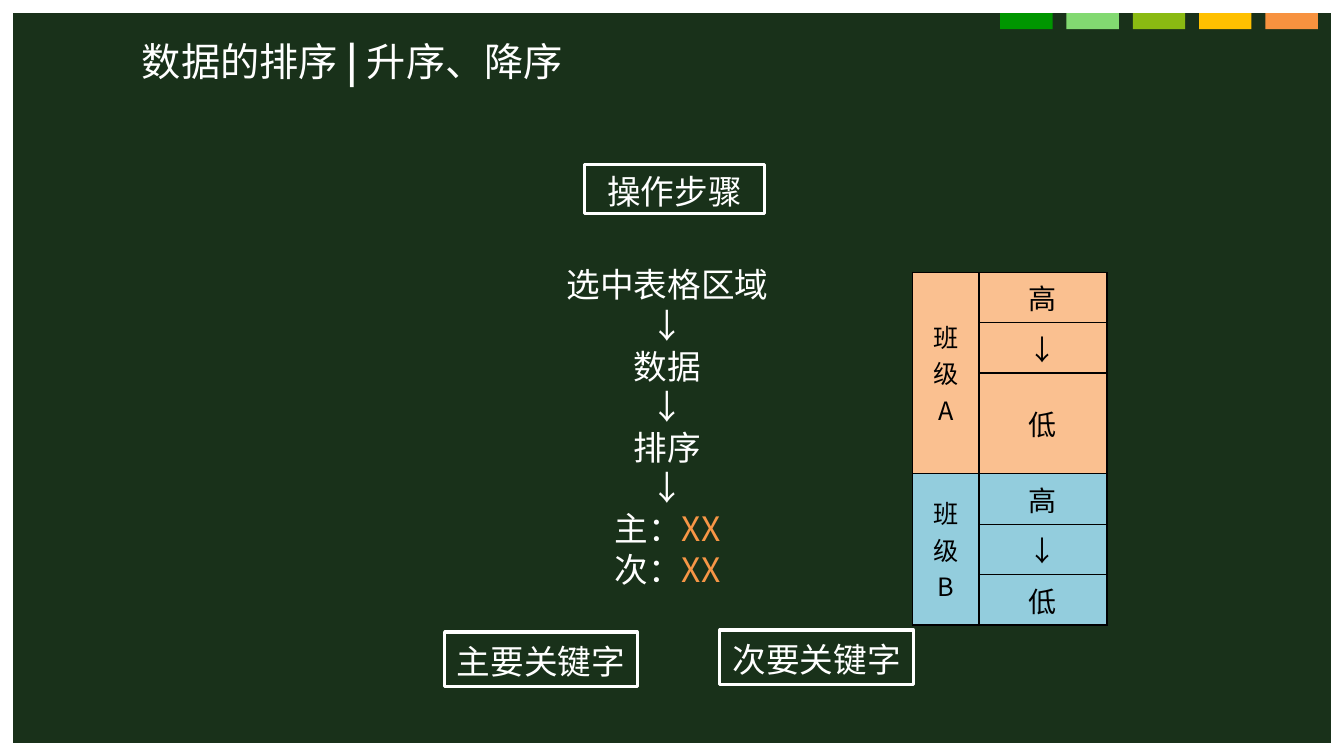
from lxml import etree
from pptx import Presentation
from pptx.dml.color import RGBColor
from pptx.enum.shapes import MSO_SHAPE as Shape
from pptx.enum.text import MSO_ANCHOR as Anchor, PP_ALIGN as Align
from pptx.oxml.ns import qn
from pptx.util import Inches, Pt

FONT = "Noto Sans CJK SC"
COLORS = {
    "board": "19311A", "white": "FFFFFF", "black": "000000", "keyword": "F79646",
    "green": "009600", "mint": "82D971", "olive": "8ABA12",
    "yellow": "FFC000", "orange": "F7923F",
    "class_a": "FAC090", "class_b": "93CDDD",
}


def rgb(name):
    return RGBColor.from_string(COLORS[name])


def write(frame, lines, size=24, color="white", align=Align.CENTER, tight=True):
    """Fill a frame; each line is a list of (text, run format) pairs."""
    for i, line in enumerate(lines):
        paragraph = frame.paragraphs[0] if i == 0 else frame.add_paragraph()
        paragraph.alignment = align
        if tight:
            paragraph.line_spacing = Pt(round(size * 1.21))
        for text, style in line:
            run = paragraph.add_run()
            run.text = text
            run.font.size = Pt(size)
            run.font.bold = style.get("bold", False)
            run.font.color.rgb = rgb(style.get("color", color))
            run.font.name = FONT
            etree.SubElement(run.font._element, qn("a:ea"), typeface=FONT)


prs = Presentation()
prs.slide_width, prs.slide_height = Inches(13.33), Inches(7.5)
slide = prs.slides.add_slide(prs.slide_layouts[6])
shapes = slide.shapes

# Board and colour tabs
panels = [(0.13, 13.07, 7.24, "board")]
for i, tab_color in enumerate(["green", "mint", "olive", "yellow", "orange"]):
    panels.append((9.92 + i * 0.6575, 0.52, 0.16, tab_color))
for left, width, height, color in panels:
    panel = shapes.add_shape(Shape.RECTANGLE, Inches(left), Inches(0.13),
                             Inches(width), Inches(height))
    panel.shadow.inherit = False
    panel.fill.solid()
    panel.fill.fore_color.rgb = rgb(color)
    panel.line.fill.background()

# Title
title = shapes.add_textbox(Inches(1.31), Inches(0.28), Inches(4.8), Inches(0.57)).text_frame
title.word_wrap = True
title.margin_top, title.margin_bottom = Inches(0.09), Inches(0.01)
write(title, [[("数据的排序 ", {}), ("| ", {"bold": True}), ("升序、降序", {})]],
      size=28, align=Align.LEFT)

# Framed labels
for label, left, top, width, height in [
    ("操作步骤", 5.8, 1.63, 1.78, 0.49),
    ("主要关键字", 4.41, 6.27, 1.91, 0.54),
    ("次要关键字", 7.14, 6.25, 1.92, 0.54),
]:
    box = shapes.add_shape(Shape.RECTANGLE, Inches(left), Inches(top),
                           Inches(width), Inches(height))
    box.shadow.inherit = False
    box.fill.background()
    box.line.color.rgb = rgb("white")
    box.line.width = Pt(2.25)
    box.text_frame.vertical_anchor = Anchor.MIDDLE
    box.text_frame.margin_top, box.text_frame.margin_bottom = Inches(0.07), Inches(0.03)
    write(box.text_frame, [[(label, {})]])

# Sorting steps
steps = shapes.add_textbox(Inches(5.52), Inches(2.53), Inches(2.2), Inches(3.33)).text_frame
steps.word_wrap = False
steps.margin_top, steps.margin_bottom = Inches(0.09), Inches(0.01)
step_lines = []
for step in ["选中表格区域", "数据", "排序"]:
    step_lines += [[(step, {})], [("↓", {})]]
for key in ["主：", "次："]:
    step_lines.append([(key, {}), ("XX", {"color": "keyword"})])
write(steps, step_lines)

# Class table
ranking = shapes.add_table(6, 2, Inches(9.05), Inches(2.7), Inches(1.93), Inches(3.5)).table
for column, width in zip(ranking.columns, [0.66, 1.27]):
    column.width = Inches(width)
for row, height in zip(ranking.rows, [0.5, 0.5, 1, 0.5, 0.5, 0.5]):
    row.height = Inches(height)
for cell in ranking.iter_cells():
    cell.vertical_anchor = Anchor.MIDDLE
    for side in ["lnL", "lnR", "lnT", "lnB"]:
        border = etree.SubElement(cell._tc.get_or_add_tcPr(), qn(f"a:{side}"), w=str(Pt(1)))
        fill = etree.SubElement(border, qn("a:solidFill"))
        etree.SubElement(fill, qn("a:srgbClr"), val=COLORS["black"])
for first, letter, color in [(0, "A", "class_a"), (3, "B", "class_b")]:
    for i, level in enumerate(["高", "↓", "低"]):
        for col in range(2):
            cell = ranking.cell(first + i, col)
            cell.fill.solid()
            cell.fill.fore_color.rgb = rgb(color)
        write(cell.text_frame, [[(level, {})]], size=20, color="black", tight=False)
    class_cell = ranking.cell(first, 0)
    class_cell.merge(ranking.cell(first + 2, 0))
    write(class_cell.text_frame, [[("班级", {})], [(letter, {})]],
          size=18, color="black", tight=False)

prs.save("out.pptx")
